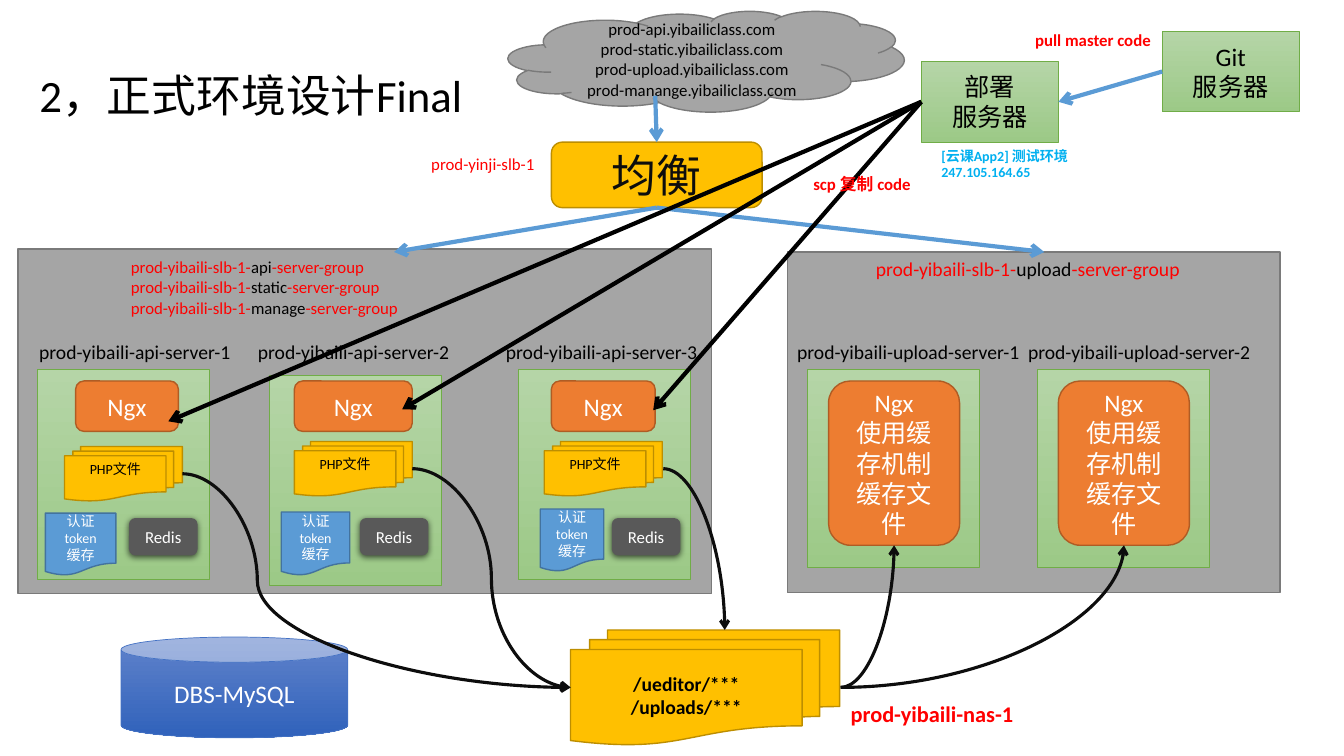
import pptx
import pptx.dml.color
import pptx.enum.shapes
import pptx.enum.text
import pptx.oxml.ns
import pptx.util
from lxml import etree

RGB = pptx.dml.color.RGBColor
SHAPE = pptx.enum.shapes.MSO_SHAPE
LINK = pptx.enum.shapes.MSO_CONNECTOR
ALIGN = pptx.enum.text.PP_ALIGN
ANCHOR = pptx.enum.text.MSO_ANCHOR
AUTOSIZE = pptx.enum.text.MSO_AUTO_SIZE
Pt = pptx.util.Pt
qn = pptx.oxml.ns.qn

BLACK, INK, WHITE = RGB(0, 0, 0), RGB(0x0D, 0x0D, 0x0D), RGB(255, 255, 255)
RED, SKY = RGB(255, 0, 0), RGB(0x00, 0xB0, 0xF0)
GREY, GREY_EDGE = RGB(0xA5, 0xA5, 0xA5), RGB(0x7A, 0x7A, 0x7A)
GOLD, GOLD_EDGE = RGB(0xFF, 0xC0, 0x00), RGB(0xBD, 0x8E, 0x00)
ORANGE, ORANGE_EDGE = RGB(0xED, 0x7D, 0x31), RGB(0xAF, 0x5C, 0x24)
BLUE, BLUE_EDGE = RGB(0x5B, 0x9B, 0xD5), RGB(0x43, 0x73, 0x9E)
GREENS, GREEN_EDGE = (RGB(0xB5, 0xD5, 0xA7), RGB(0x9C, 0xC9, 0x87)), RGB(0x70, 0xAD, 0x47)
NAVIES, NAVY_EDGE = (RGB(0x61, 0x83, 0xCB), RGB(0x30, 0x62, 0xBB)), RGB(0x44, 0x72, 0xC4)
CHARCOAL = RGB(0x59, 0x59, 0x59)

# Grid cells are a tenth of an inch; every position counts columns and rows.
CELL = pptx.util.Inches(0.1)

deck = pptx.Presentation()
deck.slide_width, deck.slide_height = int(133.33 * CELL), 75 * CELL
slide = deck.slides.add_slide(deck.slide_layouts[5])


def write(frame, lines, size, colour, bold=False, align=ALIGN.LEFT):
    """Fill a frame; a line is a string or a list of (text, colour) runs."""
    for number, line in enumerate(lines):
        paragraph = frame.paragraphs[0] if number == 0 else frame.add_paragraph()
        paragraph.alignment = align
        for text, tint in [(line, colour)] if isinstance(line, str) else line:
            run = paragraph.add_run()
            run.text = text
            run.font.name, run.font.size, run.font.bold = "Calibri", Pt(size), bold
            run.font.color.rgb = tint


def block(preset, at, fill, edge, lines=(), size=18, colour=WHITE, bold=False):
    """Add a filled shape with centred text; a pair of fills makes a gradient."""
    shape = slide.shapes.add_shape(preset, *(int(cells * CELL) for cells in at))
    shape.shadow.inherit = False
    if isinstance(fill, RGB):
        shape.fill.solid()
        shape.fill.fore_color.rgb = fill
    else:
        shape.fill.gradient()
        shape.fill.gradient_angle = 270
        for stop, tint in zip(shape.fill.gradient_stops, fill):
            stop.color.rgb = tint
    if edge is None:
        shape.line.fill.background()
    else:
        shape.line.color.rgb = edge
        shape.line.width = Pt(1 if isinstance(fill, RGB) else 0.5)
    shape.text_frame.word_wrap = True
    shape.text_frame.vertical_anchor = ANCHOR.MIDDLE
    write(shape.text_frame, lines, size, colour, bold, ALIGN.CENTER)
    return shape


# Title
title = slide.shapes.title
title.left, title.top, title.width, title.height = (int(c * CELL) for c in (2.9, 2.5, 80.5, 14.5))
title.text_frame.vertical_anchor = ANCHOR.MIDDLE
title.text_frame.paragraphs[0].line_spacing = 0.9
write(title.text_frame, ["2，正式环境设计Final"], 32, BLACK)

# Entry points, balancer and server groups
domains = [f"prod-{site}.yibailiclass.com" for site in ("api", "static", "upload", "manange")]
block(SHAPE.RECTANGLE, (1.8, 24.7, 68.8, 34.2), GREY, GREY_EDGE)
block(SHAPE.RECTANGLE, (78.1, 25, 48.9, 33.8), GREY, GREY_EDGE)
cloud = block(SHAPE.CLOUD, (50.4, 1.1, 39.3, 10), GREY, GREY_EDGE, domains, 12, BLACK)
balancer = block(SHAPE.ROUNDED_RECTANGLE, (54.7, 14.1, 20.9, 6.5), GOLD, GOLD_EDGE, ["均衡"], 32, INK)

# API servers: left and top of card, left and width of Ngx, left and top of PHP,
# place of token cache, left of Redis
api_servers = [
    (3.7, 36.6, 7.5, 10.2, 6.4, 44.3, (4.5, 50.9, 7, 6.2), 12.8),
    (26.7, 37.2, 29.2, 11.7, 29.2, 43.8, (27.9, 50.8, 6.8, 6.3), 35.7),
    (51.4, 36.6, 54.7, 10.3, 54, 43.8, (53.6, 50.5, 6.3, 6.2), 60.7),
]
for left, top, ngx_left, ngx_width, php_left, php_top, token_at, redis_left in api_servers:
    block(SHAPE.RECTANGLE, (left, top, 17.1, 20.9), GREENS, GREEN_EDGE)
    block(SHAPE.ROUNDED_RECTANGLE, (ngx_left, 37.8, ngx_width, 5), ORANGE, ORANGE_EDGE, ["Ngx"])
    php = block(SHAPE.FLOWCHART_MULTIDOCUMENT, (php_left, php_top, 11.7, 5.4),
                GOLD, GOLD_EDGE, ["PHP文件"], 10, BLACK)
    php.text_frame.margin_bottom = int(2.2 * CELL)
    block(SHAPE.FLOWCHART_DOCUMENT, token_at, BLUE, BLUE_EDGE, ["认证token", "缓存"], 10)
    redis = block(SHAPE.ROUNDED_RECTANGLE, (redis_left, 51.4, 6.8, 3.7), CHARCOAL, None, ["Redis"], 12)
    effects = redis.element.spPr.find(qn("a:effectLst"))
    glow = etree.SubElement(effects, qn("a:outerShdw"), blurRad=str(Pt(4.5)),
                            dist=str(Pt(1.5)), dir="5400000", rotWithShape="0")
    black = etree.SubElement(glow, qn("a:srgbClr"), val="000000")
    etree.SubElement(black, qn("a:alpha"), val="63000")

# Upload servers
for left in (80.1, 102.9):
    block(SHAPE.RECTANGLE, (left, 36.6, 17.1, 19.7), GREENS, GREEN_EDGE)
    block(SHAPE.ROUNDED_RECTANGLE, (left + 2.1, 37.8, 13, 16.3), ORANGE, ORANGE_EDGE,
          ["Ngx", "使用缓存机制缓存文件"])

# Storage, deployment and code servers
block(SHAPE.FLOWCHART_MULTIDOCUMENT, (56.6, 62.5, 26.7, 11.4), GOLD, GOLD_EDGE,
      ["/ueditor/***", "/uploads/***"], 14, BLACK, True)
block(SHAPE.CAN, (12, 63.2, 22.5, 10), NAVIES, NAVY_EDGE, ["DBS-MySQL"])
deploy = block(SHAPE.RECTANGLE, (91.4, 6.1, 13.6, 8), GREENS, GREEN_EDGE, ["部署", "服务器"], 18, BLACK)
git = block(SHAPE.RECTANGLE, (115.3, 3.1, 13.6, 8), GREENS, GREEN_EDGE, ["Git", "服务器"], 18, BLACK)

# Arrows: kind, from, to, colour, width, joined start, joined end
straight, curve, bend = "line", "curvedConnector3", "curvedConnector2"
nas_in, nas_out = (56.6, 68.2), (83.4, 68.2)
deploy_side = (91.4, 10.1)
arrows = [
    (straight, (65, 9.5), (65, 14.1), BLUE, 3, None, (balancer, 0)),
    (straight, (65.1, 20.6), (39.1, 25), BLUE, 3, (balancer, 2), None),
    (straight, (65.1, 20.6), (103.6, 25), BLUE, 3, (balancer, 2), None),
    (straight, (115.3, 7.1), (105, 10.1), BLUE, 3, (git, 1), (deploy, 3)),
    (curve, (18.1, 47), nas_in, INK, 2.25, None, None),
    (curve, (40.9, 46.5), nas_in, INK, 2.25, None, None),
    (bend, (65.8, 46.5), (71.9, 62.5), INK, 2.25, None, None),
    (bend, nas_out, (88.7, 54.1), INK, 2.25, None, None),
    (bend, nas_out, (111.5, 54.1), INK, 2.25, None, None),
]
for ngx_point in ((16.7, 41.8), (39.9, 40.6), (64.8, 40.7)):
    arrows.append((straight, deploy_side, ngx_point, BLACK, 3, (deploy, 1), None))

for kind, start, end, colour, width, start_join, end_join in arrows:
    arrow = slide.shapes.add_connector(LINK.STRAIGHT if kind == straight else LINK.CURVE,
                                       *(int(cells * CELL) for cells in start + end))
    if start_join:
        arrow.begin_connect(*start_join)
    if end_join:
        arrow.end_connect(*end_join)
    arrow.line.color.rgb, arrow.line.width = colour, Pt(width)
    properties = arrow.element.spPr
    etree.SubElement(properties.find(qn("a:ln")), qn("a:tailEnd"), type="arrow")
    etree.SubElement(properties, qn("a:effectLst"))
    geometry = properties.find(qn("a:prstGeom"))
    geometry.set("prst", kind)
    if start == (18.1, 47):
        etree.SubElement(geometry.find(qn("a:avLst")), qn("a:gd"), name="adj1", fmla="val 19300")

# Labels: place, lines, size, colour, bold, wrapped
groups = {name: [("prod-yibaili-slb-1-", RED), (name, BLACK), ("-server-group", RED)]
          for name in ("api", "static", "manage", "upload")}
labels = [
    ((41.8, 14.8, 12.3, 5), ["prod-yinji-slb-1"], 12, RED, False, False),
    ((12, 25, 54.2, 9.1), [groups[name] for name in ("api", "static", "manage")], 12, RED, False, True),
    ((85.9, 25, 35.4, 3.4), [groups["upload"]], 14, RED, False, True),
    ((83.4, 69, 18.2, 3.7), ["prod-yibaili-nas-1"], 16, RED, True, False),
    ((101.7, 2.5, 13.5, 3), ["pull master code"], 12, RED, True, False),
    ((79.7, 16.7, 11.7, 3), ["scp 复制 code"], 12, RED, True, True),
    ((92.4, 14.1, 15.1, 4.4), ["[云课App2] 测试环境 247.105.164.65"], 10, SKY, True, True),
]
for left, width, server in ((2.9, 21.3, "api-server-1"), (24.6, 21.3, "api-server-2"),
                            (49.2, 21.3, "api-server-3"), (78.1, 24.2, "upload-server-1"),
                            (101, 24.9, "upload-server-2")):
    labels.append(((left, 33.2, width, 3.4), [f"prod-yibaili-{server}"], 14, BLACK, False, True))

for at, lines, size, colour, bold, wrapped in labels:
    frame = slide.shapes.add_textbox(*(int(cells * CELL) for cells in at)).text_frame
    frame.word_wrap = wrapped
    frame.auto_size = AUTOSIZE.SHAPE_TO_FIT_TEXT
    write(frame, lines, size, colour, bold)

deck.save("out.pptx")
